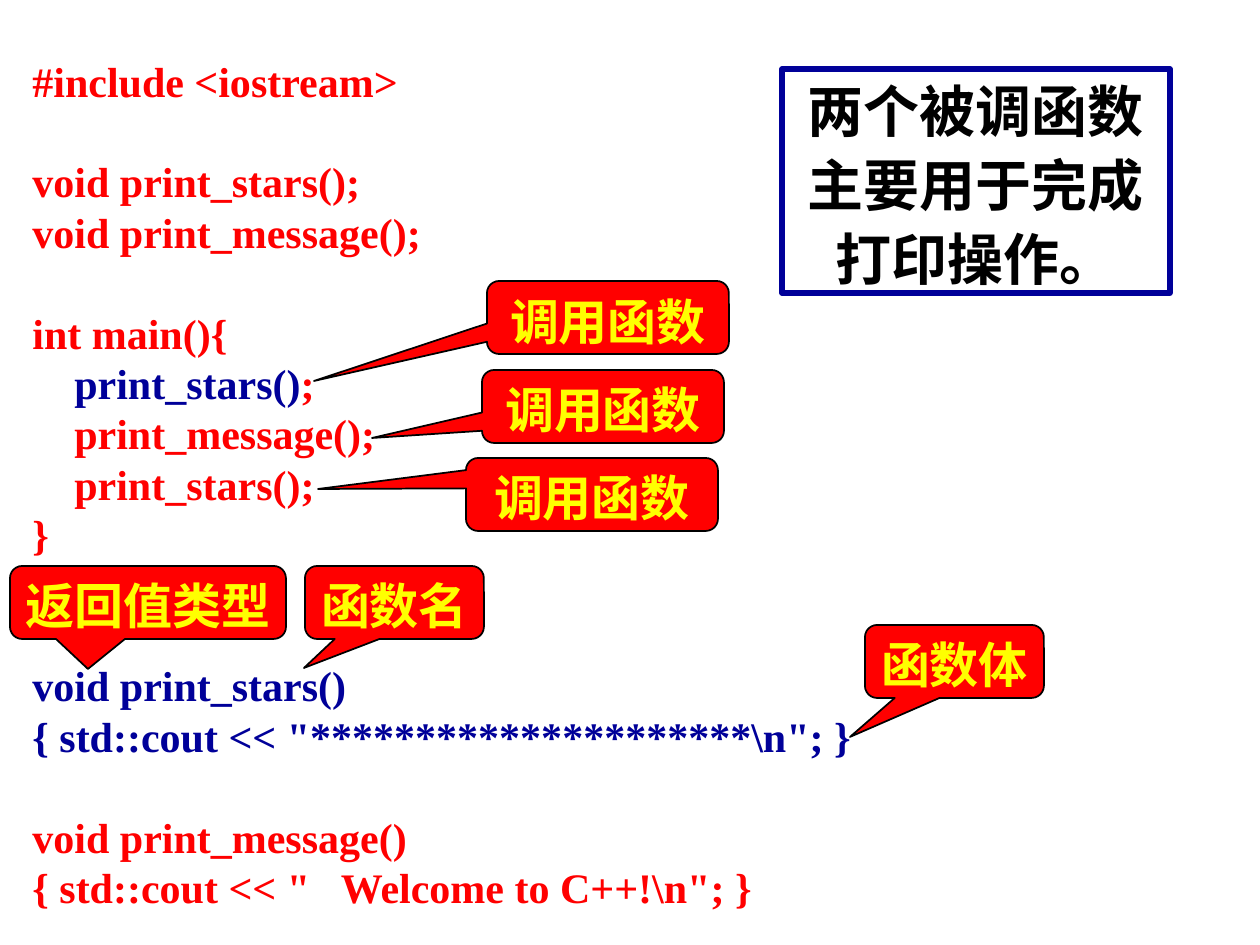
from pptx import Presentation
from pptx.dml.color import RGBColor
from pptx.enum.shapes import MSO_SHAPE
from pptx.enum.text import MSO_ANCHOR, PP_ALIGN
from pptx.util import Emu, Pt

CALLOUT = MSO_SHAPE.ROUNDED_RECTANGULAR_CALLOUT
RECTANGLE = MSO_SHAPE.RECTANGLE
MIDDLE = MSO_ANCHOR.MIDDLE
CENTER = PP_ALIGN.CENTER

PX_PER_INCH = 126
FONT = "Times New Roman"
RED, BLUE, YELLOW, BLACK = "FF0000", "000099", "FFFF00", "000000"

CODE_BOX = (20, 49, 886, 869)
CODE_LINE = 28.8  # points
# Each block: empty lines above it, then its lines as (text, colour) spans.
CODE_BLOCKS = [
    (0, [[("#include <iostream>", RED)]]),
    (1, [[("void print_stars();", RED)],
         [("void print_message();", RED)]]),
    (1, [[("int main(){", RED)],
         [("    ", RED), ("print_stars()", BLUE), (";", RED)],
         [("    print_message();", RED)],
         [("    print_stars();", RED)],
         [("}", RED)]]),
    (2, [[("void print_stars()", BLUE)],
         [('{ std::cout << "*********************\\n"; }', BLUE)]]),
    (1, [[("void print_message()", RED)],
         [('{ std::cout << "   Welcome to C++!\\n"; }', RED)]]),
]

CALLOUT_HEIGHT = 73
# text, left, top, width, tip of the pointer
CALLOUTS = [
    ("调用函数", 487, 281, 242, (314, 381)),
    ("调用函数", 482, 370, 242, (372, 438)),
    ("调用函数", 466, 458, 252, (318, 489)),
    ("返回值类型", 10, 566, 276, (88, 669)),
    ("函数名", 305, 566, 179, (304, 668)),
    ("函数体", 865, 625, 179, (850, 737)),
]

SUMMARY = "两个被调函数主要用于完成打印操作。"
SUMMARY_BOX = (782, 69, 388, 224)


def px(value):
    return Emu(round(value * 914400 / PX_PER_INCH))


def rgb(value):
    return RGBColor.from_string(value)


def set_font(font, size, color=None):
    font.name, font.size, font.bold = FONT, Pt(size), True
    if color:
        font.color.rgb = rgb(color)


def add_code(page):
    frame = page.shapes.add_textbox(*map(px, CODE_BOX)).text_frame
    frame.word_wrap = True
    para = frame.paragraphs[0]
    for empty_lines, lines in CODE_BLOCKS:
        for number, spans in enumerate(lines):
            if para.runs:
                para = frame.add_paragraph()
            para.line_spacing = Pt(CODE_LINE)
            if number == 0 and empty_lines:
                para.space_before = Pt(empty_lines * CODE_LINE)
            set_font(para.font, 24)
            for text, color in spans:
                span = para.add_run()
                span.text = text
                set_font(span.font, 24, color)


def add_label(page, kind, place, text, size, color, line, line_width, fill=None):
    shape = page.shapes.add_shape(kind, *map(px, place))
    shape.shadow.inherit = False
    if fill:
        shape.fill.solid()
        shape.fill.fore_color.rgb = rgb(fill)
    else:
        shape.fill.background()
    shape.line.color.rgb = rgb(line)
    shape.line.width = Pt(line_width)
    frame = shape.text_frame
    frame.word_wrap = True
    frame.vertical_anchor = MIDDLE
    frame.margin_left = frame.margin_right = px(2)
    frame.margin_top = frame.margin_bottom = px(1)
    para = frame.paragraphs[0]
    para.alignment = CENTER
    para.line_spacing = 1.1
    span = para.add_run()
    span.text = text
    set_font(span.font, size, color)
    return shape


def add_callout(page, text, left, top, width, tip):
    place = (left, top, width, CALLOUT_HEIGHT)
    shape = add_label(page, CALLOUT, place, text, 28, YELLOW, BLACK, 1, RED)
    # The pointer tip is measured from the centre, in fractions of the size.
    shape.adjustments[0] = (tip[0] - left) / width - 0.5
    shape.adjustments[1] = (tip[1] - top) / CALLOUT_HEIGHT - 0.5


def main():
    deck = Presentation()
    deck.slide_width, deck.slide_height = px(1260), px(945)
    page = deck.slides.add_slide(deck.slide_layouts[6])
    add_code(page)
    for callout in CALLOUTS:
        add_callout(page, *callout)
    add_label(page, RECTANGLE, SUMMARY_BOX, SUMMARY, 32, BLACK, BLUE, 3)
    deck.save("out.pptx")


if __name__ == "__main__":
    main()
